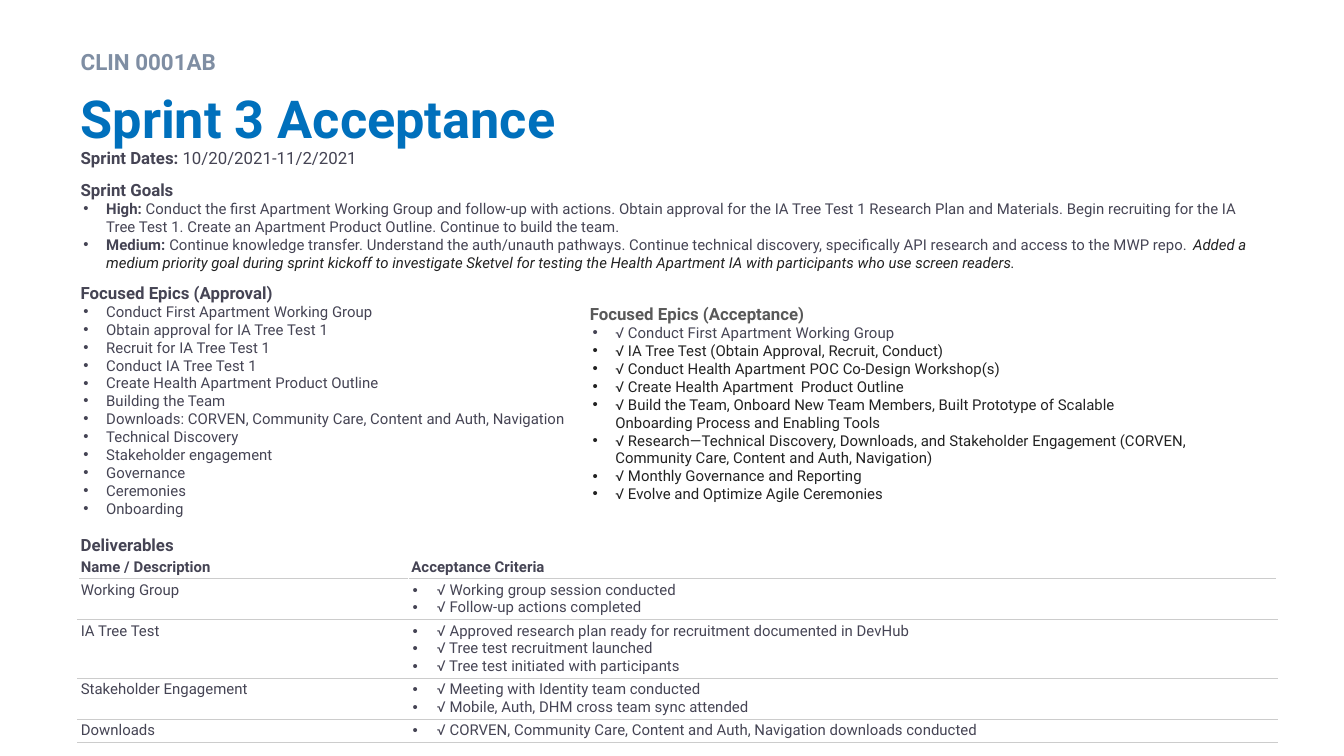
from pptx import Presentation
from pptx.dml.color import RGBColor
from pptx.enum.shapes import MSO_SHAPE as Kind
from pptx.enum.text import MSO_ANCHOR as Anchor, MSO_AUTO_SIZE as Fit, PP_ALIGN as Align
from pptx.oxml import parse_xml
from pptx.oxml.ns import nsdecls
from pptx.util import Pt

rgb = RGBColor.from_string
INK, DARK, GREY, BLUE = "454454", "222222", "595959", "0070BC"
NS = nsdecls("a")


def write(frame, runs, size=8, dot=None, hang=12.2, gap=0):
    para = frame.paragraphs[0]
    if para.runs:
        para = frame.add_paragraph()
    props = para._p.get_or_add_pPr()
    props.set("marL", str(Pt(13.7) if dot else 0))
    props.set("indent", str(-Pt(hang) if dot else 0))
    if dot:
        props.append(parse_xml(f'<a:buClr {NS}><a:srgbClr val="{dot}"/></a:buClr>'))
        props.append(parse_xml(f'<a:buFont {NS} typeface="Arial"/>'))
        props.append(parse_xml(f'<a:buChar {NS} char="•"/>'))
    else:
        props.append(parse_xml(f'<a:buNone {NS}/>'))
    para.alignment = Align.LEFT
    para.space_before = Pt(gap)
    para.space_after = Pt(0)
    para.line_spacing = 1.0
    for text, style, color in runs:
        run = para.add_run()
        run.text = text
        font = run.font
        font.name = "Roboto"
        font.size = Pt(size)
        font.bold = "b" in style
        font.italic = "i" in style
        font.color.rgb = rgb(color)
    return para


def setup(shape, box, pad):
    shape.left, shape.top, shape.width, shape.height = [Pt(n) for n in box]
    frame = shape.text_frame
    frame.word_wrap = True
    frame.auto_size = Fit.NONE
    frame.vertical_anchor = Anchor.TOP
    frame.margin_left = frame.margin_right = Pt(7.2)
    frame.margin_top = frame.margin_bottom = Pt(pad)
    return frame


deck = Presentation()
deck.slide_width, deck.slide_height = Pt(720), Pt(405)
slide = deck.slides.add_slide(deck.slide_layouts[3])
shapes = slide.shapes
label, body = slide.placeholders[1], slide.placeholders[2]

frame = setup(shapes.title, (36, 40.3, 648, 49.7), 6)
write(frame, [("Sprint 3 Acceptance", "b", BLUE)], 28)

frame = setup(label, (36, 19.4, 648, 20.9), 3.6)
write(frame, [("CLIN 0001AB", "b", "7F8EA3")], 12).line_spacing = 1.2

frame = setup(body, (36, 72, 645.1, 235.4), 7.2)
write(frame, [("Sprint Dates: ", "b", INK), ("10/20/2021-11/2/2021", "", INK)], 9)
write(frame, [("Sprint Goals", "b", INK)], 9, gap=6)
write(frame, [
    ("High:", "b", INK),
    (" Conduct the first Apartment Working Group and follow-up with actions. "
     "Obtain approval for the IA Tree Test 1 Research Plan and Materials. "
     "Begin recruiting for the IA Tree Test 1. Create an Apartment Product Outline. "
     "Continue to build the team.", "", INK),
], dot=INK)
write(frame, [
    ("Medium: ", "b", INK),
    ("Continue knowledge transfer. Understand the auth/unauth pathways. "
     "Continue technical discovery, specifically API research and access to the "
     "MWP repo. ", "", INK),
    ("Added a medium priority goal during sprint kickoff to investigate Sketvel "
     "for testing the Health Apartment IA with participants who use screen readers.",
     "i", DARK),
], dot=INK)
write(frame, [("Focused Epics (Approval)", "b", INK)], 9, gap=6)
for text in (
    "Conduct First Apartment Working Group",
    "Obtain approval for IA Tree Test 1",
    "Recruit for IA Tree Test 1",
    "Conduct IA Tree Test 1",
    "Create Health Apartment Product Outline",
    "Building the Team",
    "Downloads: CORVEN, Community Care, Content and Auth, Navigation",
    "Technical Discovery",
    "Stakeholder engagement",
    "Governance",
    "Ceremonies",
    "Onboarding",
):
    write(frame, [(text, "", INK)], dot=INK)
write(frame, [("Deliverables", "b", INK)], 9, gap=9.4)

rows = [
    ("Name / Description", ["Acceptance Criteria"]),
    ("Working Group", ["√ Working group session conducted",
                       "√ Follow-up actions completed"]),
    ("IA Tree Test", ["√ Approved research plan ready for recruitment documented in DevHub",
                      "√ Tree test recruitment launched",
                      "√ Tree test initiated with participants"]),
    ("Stakeholder Engagement", ["√ Meeting with Identity team conducted",
                                "√ Mobile, Auth, DHM cross team sync attended"]),
    ("Downloads", ["√ CORVEN, Community Care, Content and Auth, Navigation downloads conducted"]),
]
table = shapes.add_table(len(rows), 2, Pt(41.8), Pt(297.4), Pt(642.2), Pt(100.5)).table
table.first_row = table.horz_banding = False
table.columns[0].width, table.columns[1].width = Pt(177.1), Pt(465.1)
for i, (name, goals) in enumerate(rows):
    table.rows[i].height = Pt(3 + 9.5 * len(goals))
    head = i == 0
    edges = {"T": "CCCCCC", "B": "CCCCCC"}
    if head:
        edges = {"L": "FFFFFF", "R": "FFFFFF", "T": "FFFFFF", "B": "CCCCCC"}
    for j, lines in enumerate(([name], goals)):
        cell = table.cell(i, j)
        cell.margin_left = cell.margin_right = Pt(1.5)
        cell.margin_top = cell.margin_bottom = Pt(1.5)
        cell.vertical_anchor = Anchor.BOTTOM if head else Anchor.TOP
        props = cell._tc.get_or_add_tcPr()
        for side, color in edges.items():
            props.append(parse_xml(
                f'<a:ln{side} {NS} w="{Pt(0.75)}"><a:solidFill>'
                f'<a:srgbClr val="{color}"/></a:solidFill></a:ln{side}>'))
        cell.fill.background()
        for text in lines:
            write(cell.text_frame, [(text, "b" if head else "", INK)],
                  dot=INK if j and not head else None, hang=13)

panel = shapes.add_shape(Kind.RECTANGLE, 0, 0, 0, 0)
panel.shadow.inherit = False
panel.fill.solid()
panel.fill.fore_color.rgb = rgb("FFFFFF")
panel.line.fill.background()
frame = setup(panel, (308.9, 155.5, 335.5, 122.4), 7.2)
write(frame, [("Focused Epics (Acceptance)", "b", GREY)], 9)
for text, color in (
    ("√ Conduct First Apartment Working Group", INK),
    ("√ IA Tree Test (Obtain Approval, Recruit, Conduct)", DARK),
    ("√ Conduct Health Apartment POC Co-Design Workshop(s)", DARK),
    ("√ Create Health Apartment  Product Outline", DARK),
    ("√ Build the Team, Onboard New Team Members, Built Prototype of Scalable "
     "Onboarding Process and Enabling Tools", DARK),
    ("√ Research—Technical Discovery, Downloads, and Stakeholder Engagement "
     "(CORVEN, Community Care, Content and Auth, Navigation)", DARK),
    ("√ Monthly Governance and Reporting", DARK),
    ("√ Evolve and Optimize Agile Ceremonies", DARK),
):
    write(frame, [(text, "", color)], dot=color)

deck.save("out.pptx")
